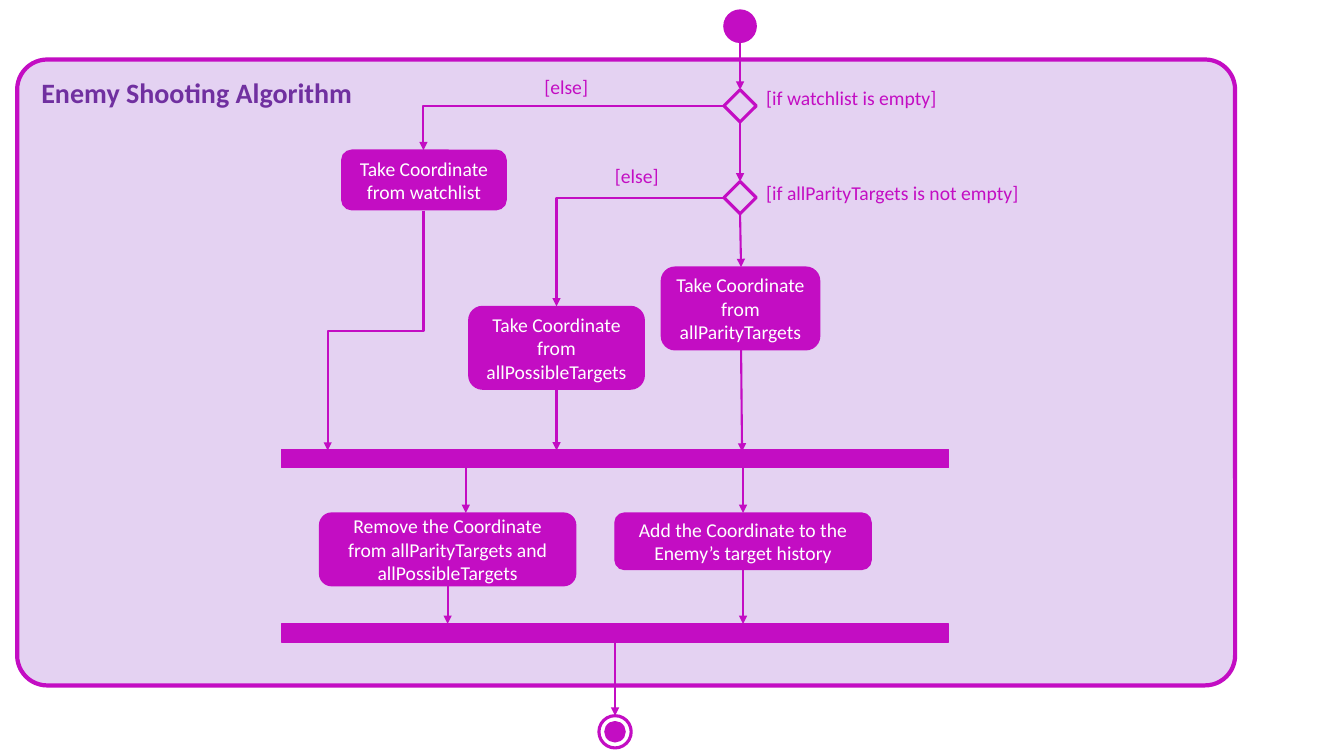
from lxml import etree
from pptx import Presentation
from pptx.dml.color import RGBColor
from pptx.enum import shapes, text
from pptx.oxml.ns import qn
from pptx.util import Inches, Pt

PURPLE, LILAC, VIOLET, WHITE = "C30DC3", "E4D2F2", "7030A0", "FFFFFF"
FONT = "Calibri"
Kind = shapes.MSO_SHAPE

# Content: lengths in inches
TITLE = ("Enemy Shooting Algorithm", 0.31, 0.7, 3.31, 0.44)
FRAME = (0.17, 0.59, 12.08, 6.21)
NODE = 0.32  # size of the start, decision and end symbols
START = (7.34, 0.26)
DECISIONS = [(7.34, 1.05), (7.34, 1.96)]
END = (6.1, 7.26)
END_CORE = 0.2
BAR_LEFT, BAR_WIDTH, BAR_HEIGHT = 2.79, 6.62, 0.18
BAR_TOPS = [4.46, 6.19]
ACTIONS = [
    ("Take Coordinate from watchlist", 3.39, 1.49, 1.63, 0.59),
    ("Take Coordinate from allParityTargets", 6.56, 2.65, 1.57, 0.82),
    ("Take Coordinate from allPossibleTargets", 4.65, 3.04, 1.74, 0.82),
    ("Remove the Coordinate from allParityTargets and allPossibleTargets",
     3.17, 5.09, 2.54, 0.72),
    ("Add the Coordinate to the Enemy’s target history", 6.1, 5.09, 2.54, 0.56),
]
LABELS = [
    ("[if watchlist is empty]", 7.5, 0.8, 1.91),
    ("[if allParityTargets is not empty]", 7.5, 1.75, 2.78),
    ("[else]", 5.3, 0.69, 0.64),
    ("[else]", 6.0, 1.58, 0.64),
]
LABEL_HEIGHT = 0.34
STRAIGHT_ARROWS = [
    (7.34, 0.42, 7.34, 0.89),
    (7.34, 1.21, 7.34, 1.8),
    (7.34, 2.12, 7.35, 2.65),
    (7.35, 3.47, 7.36, 4.48),
    (5.52, 3.86, 5.52, 4.47),
    (4.62, 4.64, 4.62, 5.09),
    (7.37, 4.64, 7.37, 5.09),
    (4.44, 5.8, 4.44, 6.19),
    (7.37, 5.65, 7.37, 6.19),
    (6.1, 6.37, 6.1, 7.1),
]
CORNER_ARROWS = [(7.18, 1.05, 4.2, 1.49), (7.18, 1.96, 5.52, 3.04)]
STEP_ARROW = (4.2, 2.09, 3.25, 4.47)


def color(value):
    return RGBColor.from_string(value)


def add_box(kind, left, top, width, height, fill=PURPLE, line_width=1):
    box = slide.shapes.add_shape(
        kind, Inches(left), Inches(top), Inches(width), Inches(height))
    box.shadow.inherit = False
    if fill:
        box.fill.solid()
        box.fill.fore_color.rgb = color(fill)
    else:
        box.fill.background()
    box.line.color.rgb = color(PURPLE)
    box.line.width = Pt(line_width)
    return box


def add_node(kind, center, size=NODE, fill=PURPLE, line_width=1):
    x, y = center
    return add_box(kind, x - size / 2, y - size / 2, size, size, fill, line_width)


def write(box, words, size=14, ink=PURPLE, bold=False,
          align=text.PP_ALIGN.LEFT, wrap=False):
    frame = box.text_frame
    frame.word_wrap = wrap
    frame.text = words
    para = frame.paragraphs[0]
    para.alignment = align
    para.font.name = FONT
    para.font.size = Pt(size)
    para.font.bold = bold
    para.font.color.rgb = color(ink)


def add_arrow(ends, kind=shapes.MSO_CONNECTOR.STRAIGHT):
    arrow = slide.shapes.add_connector(kind, *[Inches(n) for n in ends])
    arrow.line.color.rgb = color(PURPLE)
    arrow.line.width = Pt(1.5)
    etree.SubElement(arrow.line._get_or_add_ln(), qn("a:tailEnd"), type="triangle")
    properties = arrow._element.spPr
    etree.SubElement(properties, qn("a:effectLst"))
    return properties


deck = Presentation()
deck.slide_width, deck.slide_height = Inches(13.33), Inches(7.5)
slide = deck.slides.add_slide(deck.slide_layouts[5])

# Frame, with the title brought in front of it
frame_box = add_box(Kind.ROUNDED_RECTANGLE, *FRAME, fill=LILAC, line_width=3)
frame_box.adjustments[0] = 0.048
title = slide.shapes.title
words, *place = TITLE
title.left, title.top, title.width, title.height = [Inches(n) for n in place]
write(title, words, size=20, ink=VIOLET, bold=True)
title.text_frame.vertical_anchor = text.MSO_ANCHOR.TOP
slide.shapes._spTree.append(title._element)

# Start, decisions and end
add_node(Kind.OVAL, START)
for center in DECISIONS:
    add_node(Kind.DIAMOND, center, fill=None, line_width=2.25)
add_node(Kind.OVAL, END, size=END_CORE)
add_node(Kind.OVAL, END, fill=None, line_width=2.25)

# Fork and join bars
for top in BAR_TOPS:
    add_box(Kind.RECTANGLE, BAR_LEFT, top, BAR_WIDTH, BAR_HEIGHT)

# Actions
for words, *place in ACTIONS:
    action = add_box(Kind.ROUNDED_RECTANGLE, *place)
    write(action, words, ink=WHITE, align=text.PP_ALIGN.CENTER, wrap=True)
    action.text_frame.vertical_anchor = text.MSO_ANCHOR.MIDDLE

# Arrows: straight, one corner, and down-across-down
for ends in STRAIGHT_ARROWS:
    add_arrow(ends)
for ends in CORNER_ARROWS:
    properties = add_arrow(ends, shapes.MSO_CONNECTOR.ELBOW)
    properties.find(qn("a:prstGeom")).set("prst", "bentConnector2")

x1, y1, x2, y2 = STEP_ARROW
middle_x, middle_y = (x1 + x2) / 2, (y1 + y2) / 2
half_run, half_drop = (x1 - x2) / 2, (y2 - y1) / 2
properties = add_arrow(
    (middle_x - half_drop, middle_y - half_run,
     middle_x + half_drop, middle_y + half_run), shapes.MSO_CONNECTOR.ELBOW)
properties.find(qn("a:xfrm")).set("rot", str(90 * 60000))

# Branch labels
for words, left, top, width in LABELS:
    label = slide.shapes.add_textbox(
        Inches(left), Inches(top), Inches(width), Inches(LABEL_HEIGHT))
    write(label, words)

deck.save("out.pptx")
